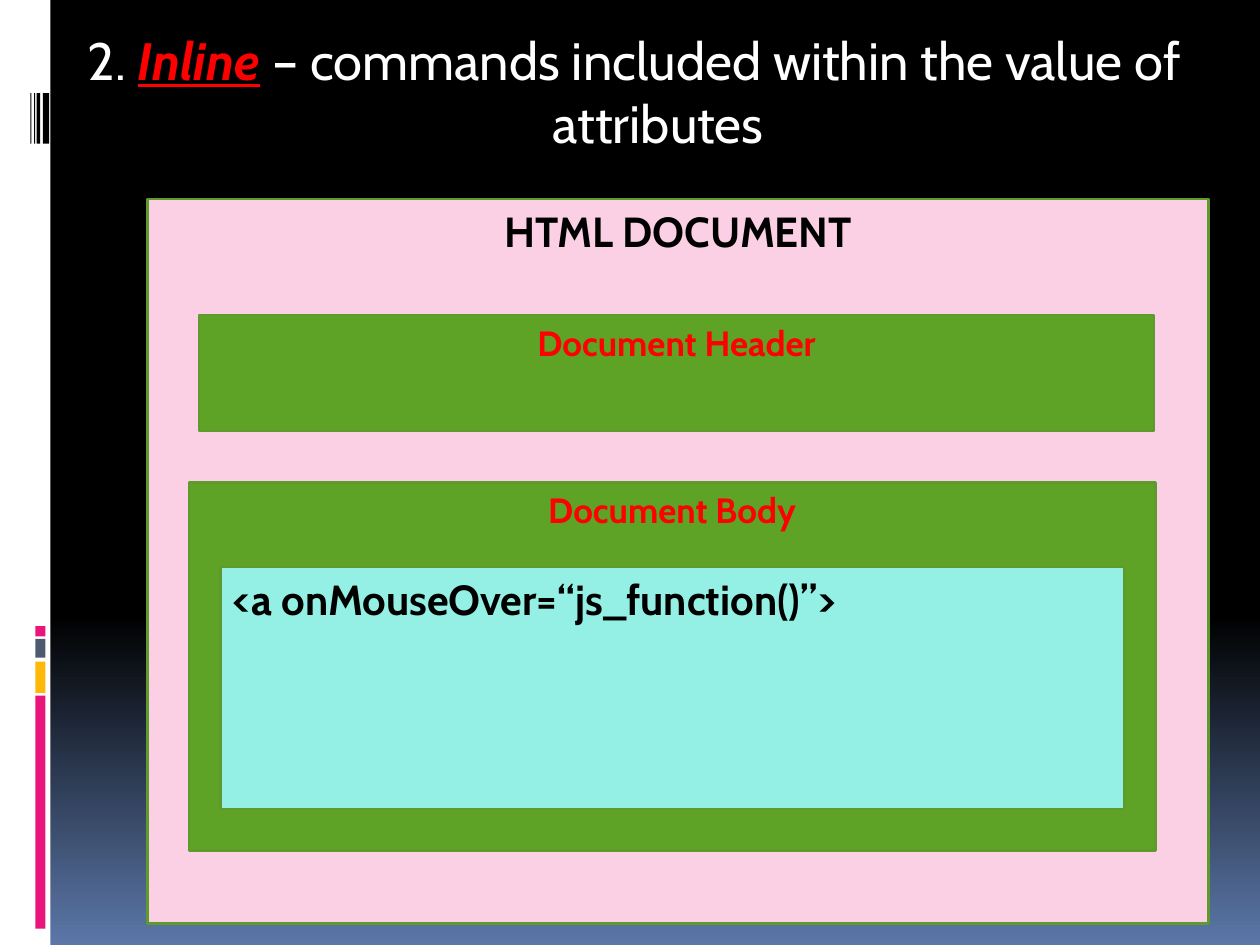
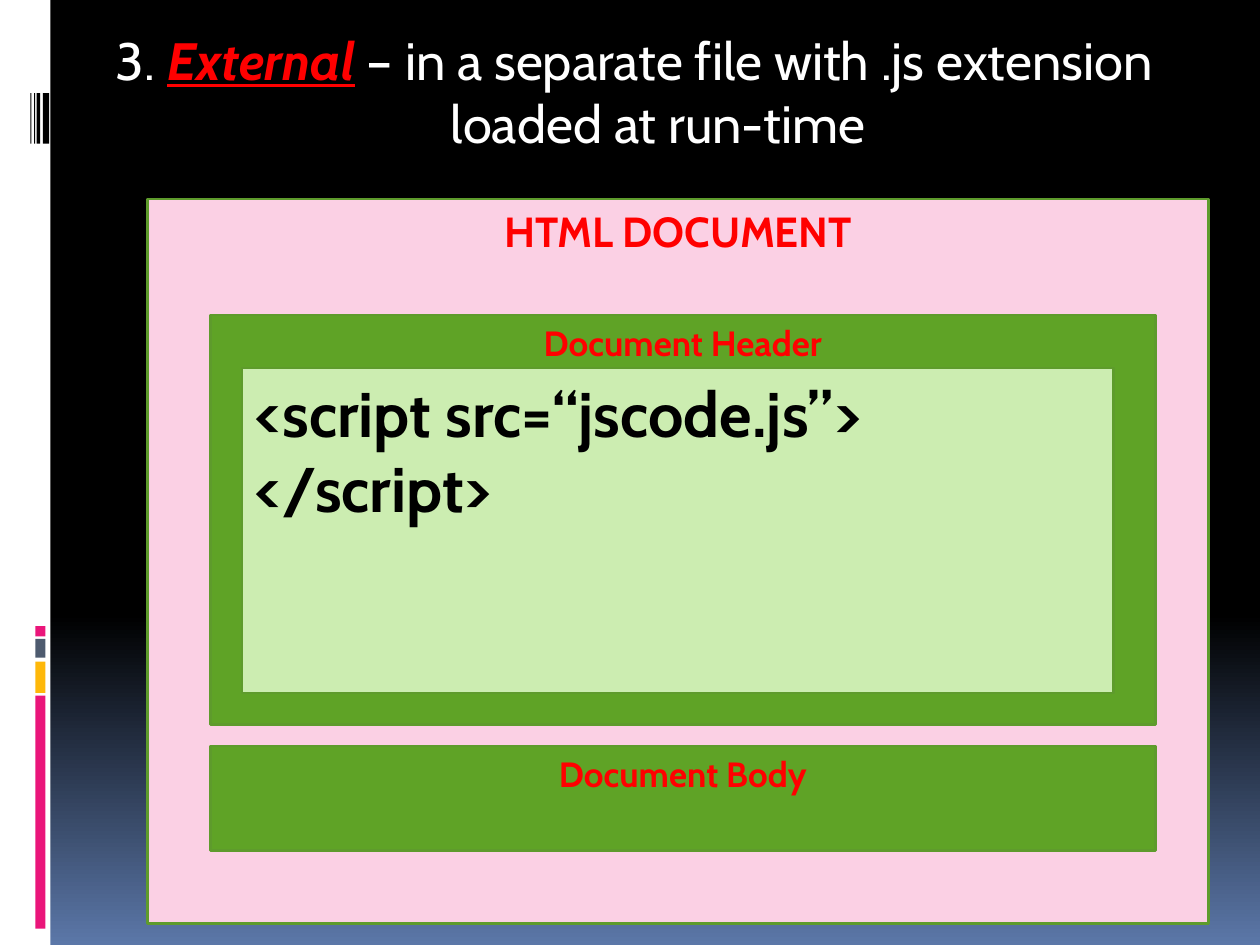
"""Build two slides on where JavaScript commands live in an HTML document."""
from dataclasses import dataclass
from typing import NamedTuple

from pptx import Presentation
from pptx.dml.color import RGBColor
from pptx.enum.shapes import MSO_SHAPE
from pptx.enum.text import MSO_ANCHOR, PP_ALIGN
from pptx.util import Inches, Pt


@dataclass(frozen=True)
class Theme:
    font: str = "Cabin"
    white: str = "FFFFFF"
    black: str = "000000"
    red: str = "FF0000"
    sky: str = "5B77A8"
    magenta: str = "EA157A"
    amber: str = "FEB80A"
    slate: str = "4E5B6F"
    pink: str = "FBD0E4"
    green: str = "5FA326"
    border: str = "5E9B2C"
    aqua: str = "94F0E4"
    lime: str = "CCEDB1"
    title_size: int = 30
    document_size: int = 24
    section_size: int = 20
    code_size: int = 24
    large_code_size: int = 36
    border_width: float = 1.5


class Area(NamedTuple):
    left: float
    top: float
    width: float
    height: float


class Bar(NamedTuple):
    area: Area
    color: str


class Panel(NamedTuple):
    area: Area
    fill: str
    text: str
    size: int
    color: str
    align: PP_ALIGN = PP_ALIGN.CENTER


class Lesson(NamedTuple):
    number: str
    method: str
    meaning: str
    panels: tuple[Panel, ...]


THEME = Theme()
TITLE_AREA = Area(0.5, 0.17, 9, 1.23)
RAIL = (
    Bar(Area(0, 0, 0.4, 7.5), THEME.white),
    *(Bar(Area(0.28, top, 0.08, height), color) for top, height, color in (
        (5.52, 1.85, THEME.magenta),
        (5.25, 0.25, THEME.amber),
        (5.07, 0.15, THEME.slate),
        (4.97, 0.08, THEME.magenta),
    )),
    *(Bar(Area(left, 0.74, width, 0.4), THEME.black) for left, width in (
        (0.34, 0.05), (0.29, 0.03), (0.27, 0.01), (0.24, 0.01),
    )),
)


def document(color: str) -> Panel:
    """Describe the outer document panel."""
    return Panel(Area(1.17, 1.58, 8.42, 5.75), THEME.pink, "HTML DOCUMENT",
                 THEME.document_size, color)


def section(text: str, area: Area) -> Panel:
    """Describe a header or body panel."""
    return Panel(area, THEME.green, text, THEME.section_size, THEME.red)


def code(text: str, area: Area, fill: str, size: int) -> Panel:
    """Describe a code panel."""
    return Panel(area, fill, text, size, THEME.black, PP_ALIGN.LEFT)


LESSONS = (
    Lesson("2. ", "Inline", " – commands included within the value of attributes", (
        document(THEME.black),
        section("Document Header", Area(1.58, 2.5, 7.58, 0.92)),
        section("Document Body", Area(1.5, 3.83, 7.67, 2.92)),
        code("<a onMouseOver=“js_function()”>", Area(1.75, 4.5, 7.17, 1.92),
             THEME.aqua, THEME.code_size),
    )),
    Lesson("3. ", "External", " – in a separate file with .js extension loaded at run-time", (
        document(THEME.red),
        section("Document Header", Area(1.67, 2.5, 7.5, 3.25)),
        code("<script src=“jscode.js”> </script>", Area(1.92, 2.92, 6.92, 2.58),
             THEME.lime, THEME.large_code_size),
        section("Document Body", Area(1.67, 5.92, 7.5, 0.83)),
    )),
)


def rgb(color: str) -> RGBColor:
    """Turn a hex string into a colour."""
    return RGBColor.from_string(color)


def inches(area: Area) -> list[Inches]:
    """Turn an area into lengths."""
    return [Inches(value) for value in area]


def write(paragraph, text: str, *, size: int, color: str, bold: bool = False,
          italic: bool = False, underline: bool = False) -> None:
    """Add a formatted run to a paragraph."""
    run = paragraph.add_run()
    run.text = text
    font = run.font
    font.name, font.size = THEME.font, Pt(size)
    font.bold, font.italic, font.underline = bold, italic, underline
    font.color.rgb = rgb(color)


def draw_rectangle(slide, area: Area, fill: str):
    """Draw a flat rectangle without an outline."""
    rectangle = slide.shapes.add_shape(MSO_SHAPE.RECTANGLE, *inches(area))
    rectangle.shadow.inherit = False
    rectangle.fill.solid()
    rectangle.fill.fore_color.rgb = rgb(fill)
    rectangle.line.fill.background()
    return rectangle


def draw_background(slide) -> None:
    """Fade the background from black to blue and draw the left rail."""
    fill = slide.background.fill
    fill.gradient()
    fill.gradient_angle = 270
    for stop, position, color in zip(fill.gradient_stops, (0.65, 1), (THEME.black, THEME.sky)):
        stop.position = position
        stop.color.rgb = rgb(color)
    for bar in RAIL:
        draw_rectangle(slide, bar.area, bar.color)


def draw_title(slide, lesson: Lesson) -> None:
    """Write the title with its method emphasised."""
    frame = slide.shapes.add_textbox(*inches(TITLE_AREA)).text_frame
    frame.word_wrap = True
    heading = frame.paragraphs[0]
    heading.alignment = PP_ALIGN.CENTER
    heading.space_before = Pt(7)
    properties = heading._p.get_or_add_pPr()
    properties.set("marL", str(Inches(0.45)))
    properties.set("indent", str(Inches(-0.38)))
    write(heading, lesson.number, size=THEME.title_size, color=THEME.white)
    write(heading, lesson.method, size=THEME.title_size, color=THEME.red,
          bold=True, italic=True, underline=True)
    write(heading, lesson.meaning, size=THEME.title_size, color=THEME.white)


def draw_panel(slide, panel: Panel) -> None:
    """Draw a bordered panel with its text at the top."""
    rectangle = draw_rectangle(slide, panel.area, panel.fill)
    rectangle.line.color.rgb = rgb(THEME.border)
    rectangle.line.width = Pt(THEME.border_width)
    frame = rectangle.text_frame
    frame.word_wrap = True
    frame.vertical_anchor = MSO_ANCHOR.TOP
    label = frame.paragraphs[0]
    label.alignment = panel.align
    write(label, panel.text, size=panel.size, color=panel.color, bold=True)


def main() -> None:
    """Build and save the presentation."""
    presentation = Presentation()
    presentation.slide_width, presentation.slide_height = Inches(10), Inches(7.5)
    for lesson in LESSONS:
        slide = presentation.slides.add_slide(presentation.slide_layouts[6])
        draw_background(slide)
        draw_title(slide, lesson)
        for panel in lesson.panels:
            draw_panel(slide, panel)
    presentation.save("out.pptx")


if __name__ == "__main__":
    main()
